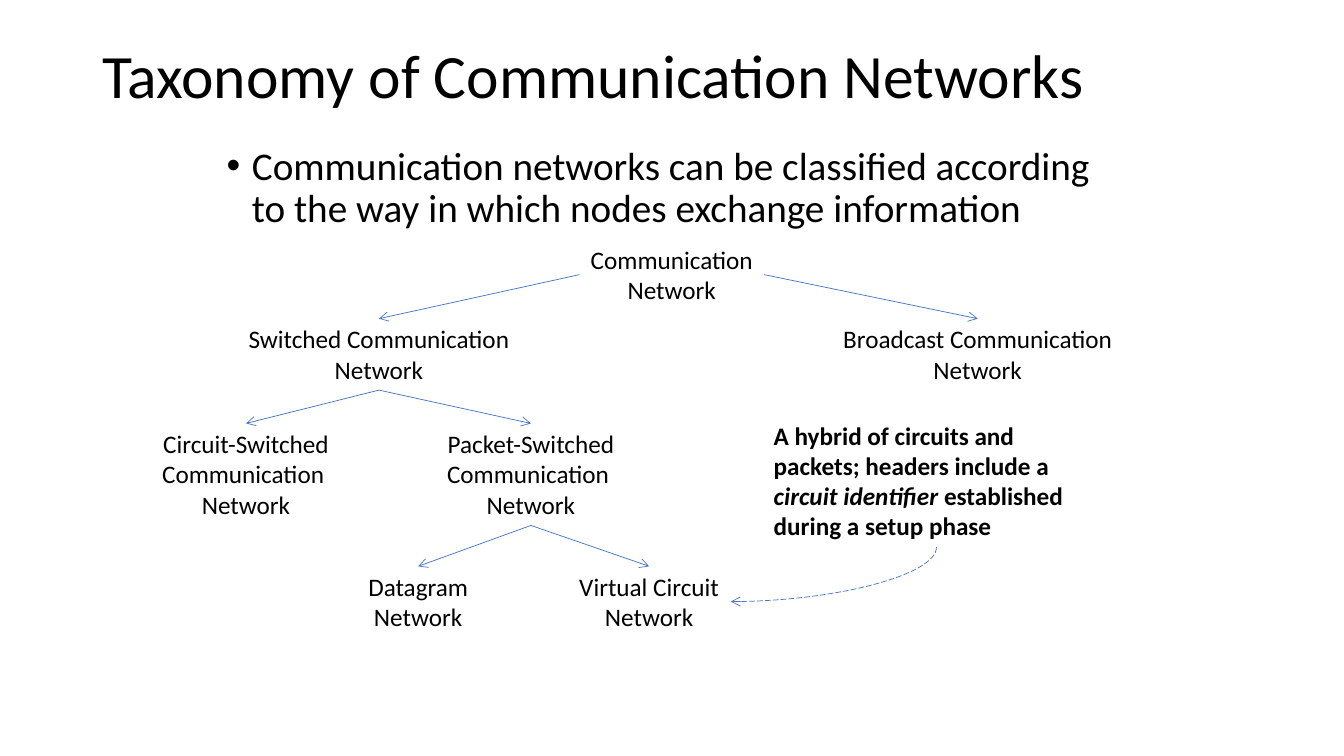
from collections import namedtuple

from lxml.etree import SubElement
from pptx import Presentation
from pptx.dml.color import RGBColor
from pptx.enum.dml import MSO_LINE_DASH_STYLE as Dash
from pptx.enum.shapes import MSO_CONNECTOR as Link
from pptx.enum.text import MSO_AUTO_SIZE as AutoSize, PP_ALIGN as Align
from pptx.oxml.ns import qn
from pptx.util import Cm, Pt

BLACK = RGBColor(0x00, 0x00, 0x00)
BLUE = RGBColor(0x44, 0x72, 0xC4)
FONT = "Calibri"

# Centre, top, width and height in cm
Node = namedtuple("Node", "center top width height lines")
NODES = {
    "root": Node(16.93, 6.02, 4.65, 1.8, ["Communication", "Network"]),
    "broadcast": Node(24.64, 8.03, 7.37, 1.8, ["Broadcast Communication", "Network"]),
    "switched": Node(9.55, 8.03, 7.16, 1.8, ["Switched Communication", "Network"]),
    "circuit": Node(6.2, 10.67, 4.8, 2.57, ["Circuit-Switched", "Communication ", "Network"]),
    "packet": Node(13.38, 10.67, 5.5, 2.57, ["Packet-Switched", "Communication ", "Network"]),
    "datagram": Node(10.54, 14.27, 3.05, 1.8, ["Datagram", "Network"]),
    "virtual": Node(16.36, 14.27, 4.06, 1.8, ["Virtual Circuit", "Network"]),
}
BRANCHES = [("switched", "circuit"), ("switched", "packet"),
            ("packet", "datagram"), ("packet", "virtual")]


def add_text(slide, left, top, width, height, paragraphs, size, align=Align.LEFT,
             bold=False, wrap=True, grow=False):
    """Each paragraph is a list of (text, italic) runs."""
    box = slide.shapes.add_textbox(Cm(left), Cm(top), Cm(width), Cm(height))
    frame = box.text_frame
    frame.word_wrap = wrap
    frame.auto_size = AutoSize.SHAPE_TO_FIT_TEXT if grow else AutoSize.NONE
    for index, runs in enumerate(paragraphs):
        paragraph = frame.paragraphs[0] if index == 0 else frame.add_paragraph()
        paragraph.alignment = align
        font = paragraph.font
        font.name, font.size, font.bold = FONT, Pt(size), bold
        font.color.rgb = BLACK
        for text, italic in runs:
            run = paragraph.add_run()
            run.text = text
            if italic:
                run.font.italic = True
    return frame.paragraphs[0]


def add_bullet(paragraph):
    properties = paragraph._p.get_or_add_pPr()
    properties.set("marL", str(Cm(0.64)))
    properties.set("indent", str(-Cm(0.64)))
    bullet_font = SubElement(properties, qn("a:buFont"))
    bullet_font.set("typeface", "Arial")
    SubElement(properties, qn("a:buChar")).set("char", "•")
    # The schema wants bullets ahead of the default run properties
    properties.append(properties.find(qn("a:defRPr")))


def add_node(slide, node):
    add_text(slide, node.center - node.width / 2, node.top, node.width, node.height,
             [[(line, False)] for line in node.lines], 18, Align.CENTER,
             wrap=False, grow=True)


def add_arrow(slide, start, end, kind=Link.STRAIGHT):
    arrow = slide.shapes.add_connector(kind, *map(Cm, start + end))
    arrow.line.color.rgb = BLUE
    arrow.line.width = Pt(0.5)
    SubElement(arrow.line._get_or_add_ln(), qn("a:tailEnd")).set("type", "arrow")
    SubElement(arrow._element.spPr, qn("a:effectLst"))
    return arrow


def add_note_arrow(slide, start, end):
    """Quarter bend that leaves downwards and arrives leftwards."""
    (x1, y1), (x2, y2) = start, end
    mid_x, mid_y = (x1 + x2) / 2, (y1 + y2) / 2
    half_drop, half_run = (y2 - y1) / 2, (x1 - x2) / 2
    # Laid out before the quarter turn, so drop and run trade places
    arrow = add_arrow(slide, (mid_x - half_drop, mid_y - half_run),
                      (mid_x + half_drop, mid_y + half_run), Link.CURVE)
    arrow.line.dash_style = Dash.LONG_DASH
    properties = arrow._element.spPr
    properties.find(qn("a:xfrm")).set("rot", str(90 * 60000))
    properties.find(qn("a:prstGeom")).set("prst", "curvedConnector2")


def main():
    deck = Presentation()
    deck.slide_width, deck.slide_height = Cm(33.87), Cm(19.05)
    slide = deck.slides.add_slide(deck.slide_layouts[6])

    # Title and statement
    title = add_text(slide, 2.33, 1.01, 29.21, 3.68,
                     [[("Taxonomy of Communication Networks", False)]], 44)
    title.line_spacing = 0.9
    statement = add_text(slide, 5.46, 3.56, 22.86, 4.45, [[(
        "Communication networks can be classified according to the way in which "
        "nodes exchange information", False)]], 28)
    statement.line_spacing = 0.9
    statement.space_before = Pt(10)
    add_bullet(statement)

    # Taxonomy tree
    for node in NODES.values():
        add_node(slide, node)

    # Arrows from the sides of the root
    root = NODES["root"]
    for child, side in (("broadcast", 1), ("switched", -1)):
        add_arrow(slide, (root.center + side * root.width / 2, root.top + root.height / 2),
                  (NODES[child].center, NODES[child].top))

    # Arrows from the foot of each lower parent
    for upper, lower in BRANCHES:
        origin, target = NODES[upper], NODES[lower]
        add_arrow(slide, (origin.center, origin.top + origin.height),
                  (target.center, target.top))

    # Note on virtual circuits
    add_text(slide, 19.25, 10.46, 8.66, 3.33, [[
        ("A hybrid of circuits and packets; headers include a ", False),
        ("circuit identifier", True),
        (" established during a setup phase", False)]], 18, bold=True, grow=True)
    add_note_arrow(slide, (23.6, 13.79), (18.42, 15.16))

    deck.save("out.pptx")


if __name__ == "__main__":
    main()
